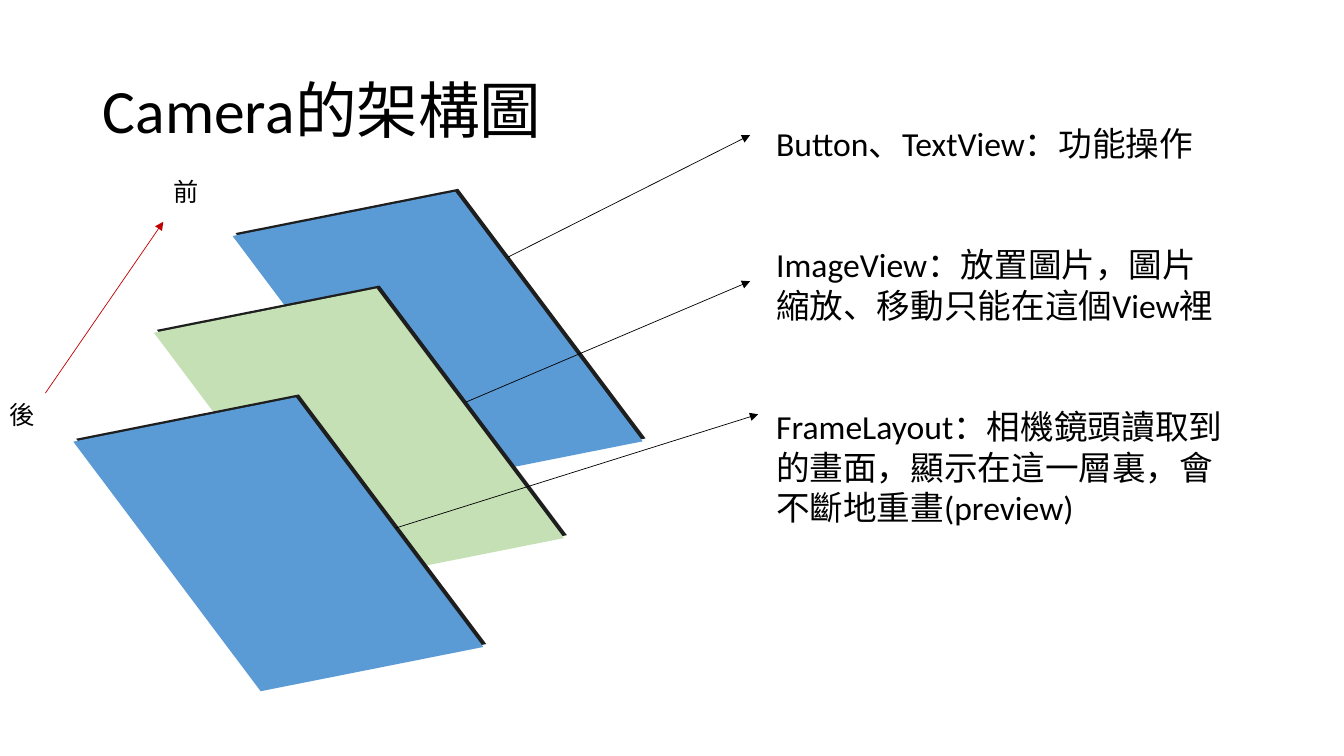
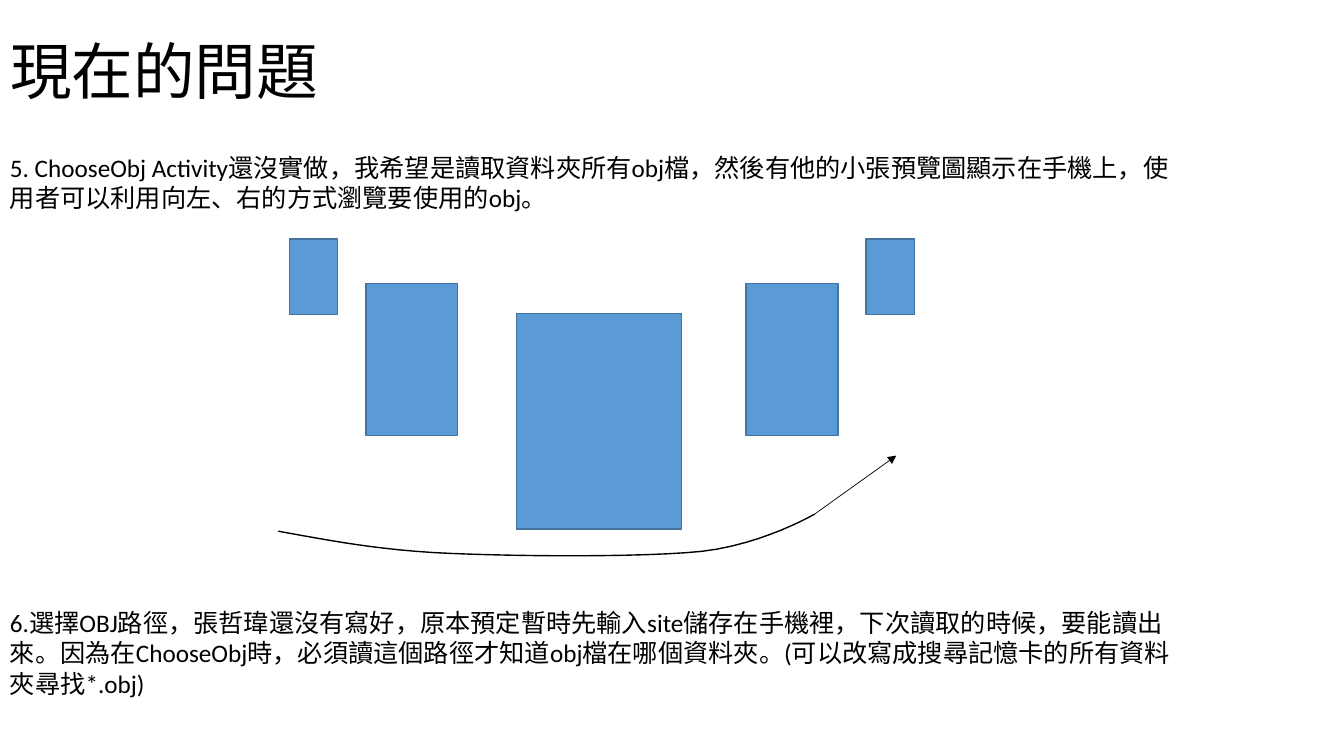
from pptx import Presentation
from pptx import util as u
from pptx.dml import color
from pptx.enum import shapes, text
from pptx.oxml import ns
from lxml import etree

COLORS = {
    "ink": "000000",
    "blue": "5B9BD5",
    "green": "C5E0B4",
    "frame": "43739E",
    "red": "C00000",
    "shade": "1E1E1E",
}
FONT = "Calibri"
TITLE_PARA = {"alignment": text.PP_ALIGN.LEFT, "line_spacing": 0.9, "space_before": u.Pt(0)}
TITLE_FRAME = {"vertical_anchor": text.MSO_ANCHOR.MIDDLE, "auto_size": text.MSO_AUTO_SIZE.NONE,
               "word_wrap": True}
BOX_FRAME = {"word_wrap": True, "auto_size": text.MSO_AUTO_SIZE.SHAPE_TO_FIT_TEXT}
TITLE_SIZE = (11.5, 1.45)

LAYER_SIZE = (4.07, 2.03)
LAYER_SLANT = 0.48
LAYER_ANGLE = 53.1
LAYERS = [((4.34, 3.36), "blue"), ((3.56, 4.32), "green"), ((2.76, 5.4), "blue")]
POINTERS = [((5.04, 2.55), (7.44, 1.34)),
            ((4.62, 3.99), (7.44, 2.79)),
            ((3.92, 5.24), (7.52, 4.11))]
LAYER_NOTES = [
    "Button、TextView：功能操作",
    "ImageView：放置圖片，圖片縮放、移動只能在這個View裡",
    "FrameLayout：相機鏡頭讀取到的畫面，顯示在這一層裏，會不斷地重畫(preview)",
]
PROBLEMS = [
    "5. ChooseObj Activity還沒實做，我希望是讀取資料夾所有obj檔，然後有他的小張預覽圖顯示在手機上，"
    "使用者可以利用向左、右的方式瀏覽要使用的obj。",
    "6.選擇OBJ路徑，張哲瑋還沒有寫好，原本預定暫時先輸入site儲存在手機裡，下次讀取的時候，要能讀出來。"
    "因為在ChooseObj時，必須讀這個路徑才知道obj檔在哪個資料夾。(可以改寫成搜尋記憶卡的所有資料夾尋找*.obj)",
]

CAROUSEL_AXIS = 5.97
CENTER_PREVIEW = (5.12, 3.11, 1.64, 2.14)
SIDE_PREVIEWS = [(2.87, 2.37, 0.48, 0.75), (3.63, 2.81, 0.91, 1.51)]
SWIPE_START = (2.76, 5.27)
SWIPE_CURVES = [
    ((3.26, 5.36), (3.76, 5.46), (4.46, 5.49)),
    ((5.16, 5.52), (6.36, 5.53), (6.96, 5.47)),
    ((7.57, 5.4), (8.08, 5.1), (8.08, 5.1)),
]
SWIPE_TIP = (8.89, 4.52)
CURVE_STEPS = 12


def rgb(name):
    """Return the palette colour with this name."""
    return color.RGBColor.from_string(COLORS[name])


def inches(values):
    """Turn a sequence of numbers into lengths."""
    return [u.Inches(value) for value in values]


def set_values(target, values):
    """Set attributes of an object from a dict."""
    for name, value in values.items():
        setattr(target, name, value)


def write(para, words, size):
    """Add one run in the deck's font."""
    span = para.add_run()
    span.text = words
    set_values(span.font, {"name": FONT, "size": u.Pt(size)})
    span.font.color.rgb = rgb("ink")


def add_slide(deck, words, left, top):
    """Add a slide with its title at the given place."""
    slide = deck.slides.add_slide(deck.slide_layouts[5])
    title = slide.shapes.title
    width, height = inches(TITLE_SIZE)
    set_values(title, {"left": u.Inches(left), "top": u.Inches(top),
                       "width": width, "height": height})
    set_values(title.text_frame, TITLE_FRAME)
    para = title.text_frame.paragraphs[0]
    set_values(para, TITLE_PARA)
    write(para, words, 44)
    return slide


def add_text(slide, place, lines, size, gap=0):
    """Add a text box with a gap in points between its paragraphs."""
    box = slide.shapes.add_textbox(*inches(place))
    frame = box.text_frame
    set_values(frame, BOX_FRAME)
    for index, words in enumerate(lines):
        para = frame.add_paragraph() if index else frame.paragraphs[0]
        para.space_before = u.Pt(gap if index else 0)
        write(para, words, size)


def add_arrow(parent, start, end, ink="ink"):
    """Add a thin straight arrow."""
    arrow = parent.shapes.add_connector(
        shapes.MSO_CONNECTOR.STRAIGHT, *inches(start + end))
    arrow.line.color.rgb = rgb(ink)
    arrow.line.width = u.Pt(0.5)
    etree.SubElement(arrow.line._get_or_add_ln(), ns.qn("a:tailEnd"), type="triangle")
    etree.SubElement(arrow._element.spPr, ns.qn("a:effectLst"))


def add_layer(slide, center, fill):
    """Add a tilted screen layer with a hard shadow on its upper right."""
    width, height = LAYER_SIZE
    place = (center[0] - width / 2, center[1] - height / 2, width, height)
    layer = slide.shapes.add_shape(shapes.MSO_SHAPE.PARALLELOGRAM, *inches(place))
    layer.adjustments[0] = LAYER_SLANT
    layer.rotation = LAYER_ANGLE
    layer.fill.solid()
    layer.fill.fore_color.rgb = rgb(fill)
    layer.line.fill.background()
    layer.shadow.inherit = False
    effects = layer._element.spPr.find(ns.qn("a:effectLst"))
    shadow = etree.SubElement(effects, ns.qn("a:outerShdw"), blurRad="0",
                              dist=str(u.Pt(3)), dir="18900000", rotWithShape="0")
    etree.SubElement(shadow, ns.qn("a:srgbClr"), val=COLORS["shade"])


def add_preview(group, place):
    """Add one preview tile of the carousel."""
    tile = group.shapes.add_shape(shapes.MSO_SHAPE.RECTANGLE, *inches(place))
    tile.shadow.inherit = False
    tile.fill.solid()
    tile.fill.fore_color.rgb = rgb("blue")
    tile.line.color.rgb = rgb("frame")
    tile.line.width = u.Pt(1)


def curve_points(start, curves):
    """Return points along a chain of cubic curves."""
    points = []
    for first, second, end in curves:
        for step in range(1, CURVE_STEPS + 1):
            t = step / CURVE_STEPS
            weights = ((1 - t) ** 3, 3 * t * (1 - t) ** 2, 3 * t ** 2 * (1 - t), t ** 3)
            corners = (start, first, second, end)
            points.append(tuple(
                u.Inches(sum(w * corner[axis] for w, corner in zip(weights, corners)))
                for axis in (0, 1)))
        start = end
    return points


def add_swipe(group):
    """Add the curved swipe line that ends in an arrow."""
    builder = group.shapes.build_freeform(*inches(SWIPE_START))
    builder.add_line_segments(curve_points(SWIPE_START, SWIPE_CURVES), close=False)
    swipe = builder.convert_to_shape()
    swipe.shadow.inherit = False
    swipe.fill.background()
    swipe.line.color.rgb = rgb("ink")
    swipe.line.width = u.Pt(1)
    add_arrow(group, SWIPE_CURVES[-1][-1], SWIPE_TIP)


def build_structure(deck):
    """Build the slide on the camera's layers."""
    slide = add_slide(deck, "Camera的架構圖", 0.92, 0.4)
    for center, fill in LAYERS:
        add_layer(slide, center, fill)
    for start, end in POINTERS:
        add_arrow(slide, start, end)
    add_text(slide, (7.6, 1.17, 4.66, 4.54), LAYER_NOTES, 24, gap=58)
    add_arrow(slide, (0.45, 3.9), (1.62, 2.2), "red")
    add_text(slide, (1.62, 1.7, 0.45, 0.4), ["前"], 18)
    add_text(slide, (0, 3.91, 0.45, 0.4), ["後"], 18)


def build_problems(deck):
    """Build the slide on open problems with the preview carousel."""
    slide = add_slide(deck, "現在的問題", 0, 0.01)
    add_text(slide, (0, 1.46, 11.84, 5.86), PROBLEMS, 18, gap=282)
    carousel = slide.shapes.add_group_shape()
    add_preview(carousel, CENTER_PREVIEW)
    for left, top, width, height in SIDE_PREVIEWS:
        mirrored = 2 * CAROUSEL_AXIS - left - width
        for side in (left, mirrored):
            add_preview(carousel, (side, top, width, height))
    add_swipe(carousel)


def main():
    """Build and save the deck."""
    deck = Presentation()
    deck.slide_width, deck.slide_height = inches((13.33, 7.5))
    build_structure(deck)
    build_problems(deck)
    deck.save("out.pptx")


main()
